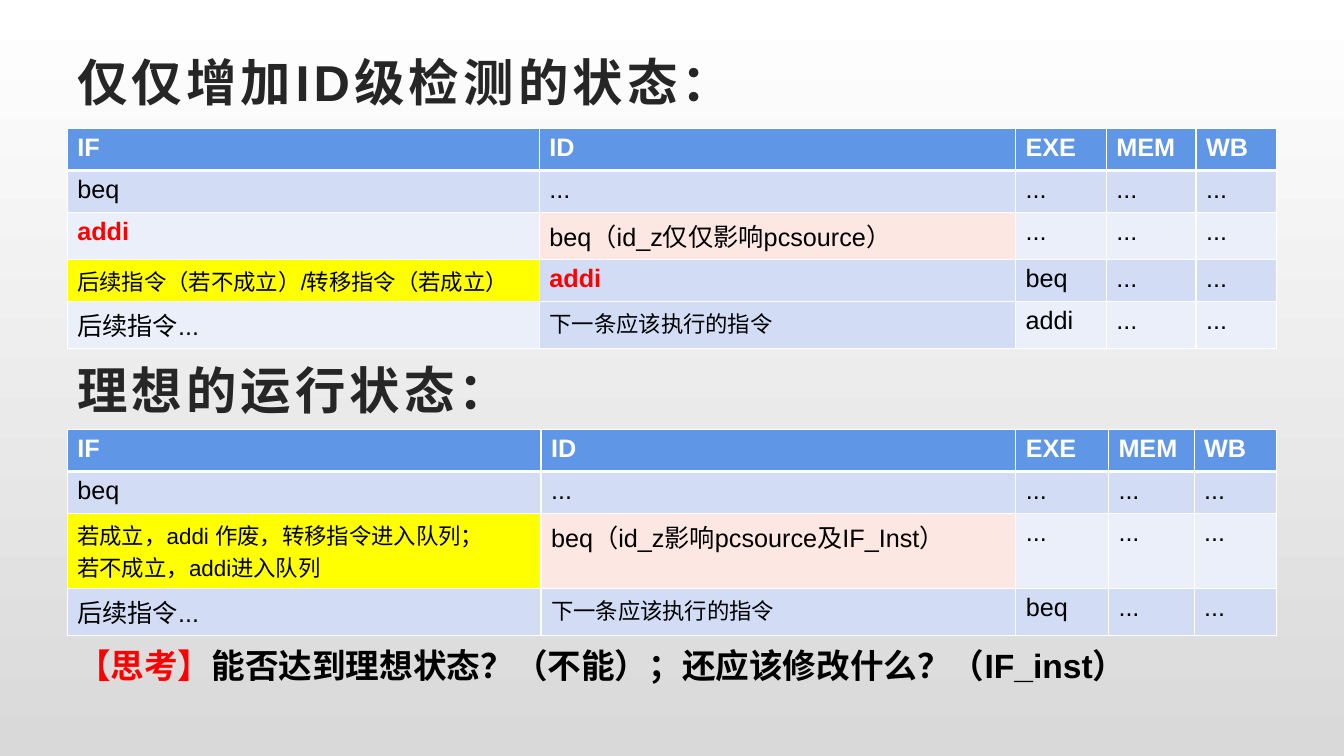
import dataclasses

import pptx
import pptx.dml.color
import pptx.enum.text
import pptx.oxml
import pptx.oxml.ns
import pptx.util

SLIDE_WIDTH = pptx.util.Inches(13.33)
SLIDE_HEIGHT = pptx.util.Inches(7.5)
GRID_COLUMNS, GRID_ROWS = 80, 90
MARGIN, CONTENT_COLUMNS = 4, 72
HEADING_ROWS = 9.24
LATIN_ROW, CHINESE_ROW, TWO_LINE_ROW = 5.0, 5.58, 8.93


@dataclasses.dataclass(frozen=True)
class Theme:
    font: str = "Arial"
    heading: str = "262626"
    ink: str = "000000"
    alert: str = "FF0000"
    white: str = "FFFFFF"
    backdrop_end: str = "D9D9D9"
    header: str = "6096E6"
    dark_band: str = "D2DDF5"
    light_band: str = "EAEFFA"
    yellow: str = "FFFF00"
    pink: str = "FCE7E2"
    heading_size: int = 36
    question_size: int = 24
    cell_size: int = 18
    small_size: int = 16


THEME = Theme()

HEADER = ["IF", "ID", "EXE", "MEM", "WB"]
FIRST_ROW = ["beq", "...", "...", "...", "..."]
NEXT_INSTRUCTION = "下一条应该执行的指令"
ADDI = {"color": THEME.alert, "bold": True}
BRANCH = {"fill": THEME.pink}
CHOICE = {"fill": THEME.yellow, "size": THEME.small_size}
NEXT = {"fill": THEME.dark_band, "size": THEME.small_size}

ID_CHECK_ROWS = [
    (LATIN_ROW, HEADER),
    (LATIN_ROW, FIRST_ROW),
    (CHINESE_ROW, ["addi", "beq（id_z仅仅影响pcsource）", "...", "...", "..."]),
    (LATIN_ROW, ["后续指令（若不成立）/转移指令（若成立）", "addi", "beq", "...", "..."]),
    (CHINESE_ROW, ["后续指令...", NEXT_INSTRUCTION, "addi", "...", "..."]),
]
ID_CHECK_STYLES = {(2, 0): ADDI, (2, 1): BRANCH, (3, 0): CHOICE, (3, 1): ADDI, (4, 1): NEXT}

IDEAL_ROWS = [
    (LATIN_ROW, HEADER),
    (LATIN_ROW, FIRST_ROW),
    (TWO_LINE_ROW, ["若成立，addi 作废，转移指令进入队列；\n若不成立，addi进入队列",
                    "beq（id_z影响pcsource及IF_Inst）", "...", "...", "..."]),
    (CHINESE_ROW, ["后续指令...", NEXT_INSTRUCTION, "beq", "...", "..."]),
]
IDEAL_STYLES = {(2, 0): CHOICE, (2, 1): BRANCH, (3, 1): NEXT}


def across(columns):
    return round(SLIDE_WIDTH * columns / GRID_COLUMNS)


def down(rows):
    return round(SLIDE_HEIGHT * rows / GRID_ROWS)


def rgb(color):
    return pptx.dml.color.RGBColor.from_string(color)


def set_font(font, size, color, bold):
    font.name = THEME.font
    font.size = pptx.util.Pt(size)
    font.color.rgb = rgb(color)
    font.bold = bold


def paint_background(slide):
    fill = slide.background.fill
    fill.gradient()
    fill.gradient_angle = 270
    for stop, color in zip(fill.gradient_stops, (THEME.white, THEME.backdrop_end)):
        stop.color.rgb = rgb(color)


def add_text_box(slide, top, columns, rows):
    box = slide.shapes.add_textbox(across(MARGIN), down(top), across(columns), down(rows))
    box.text_frame.word_wrap = True
    return box.text_frame


def add_heading(slide, top, text):
    frame = add_text_box(slide, top, CONTENT_COLUMNS, HEADING_ROWS)
    frame.vertical_anchor = pptx.enum.text.MSO_ANCHOR.MIDDLE
    para = frame.paragraphs[0]
    set_font(para.font, THEME.heading_size, THEME.heading, True)
    span = para.add_run()
    span.text = text
    span.font._element.set("spc", "300")


def add_question(slide, top, label, text):
    frame = add_text_box(slide, top, 67, 6)
    frame.auto_size = pptx.enum.text.MSO_AUTO_SIZE.SHAPE_TO_FIT_TEXT
    para = frame.paragraphs[0]
    set_font(para.font, THEME.question_size, THEME.ink, True)
    for words, color in ((label, THEME.alert), (text, THEME.ink)):
        span = para.add_run()
        span.text = words
        span.font.color.rgb = rgb(color)


def add_borders(cell, bottom_width):
    """Draw white sides; they must precede the fill in the cell's XML."""
    properties = cell._tc.get_or_add_tcPr()
    for side, width in (("L", 1), ("R", 1), ("T", 1), ("B", bottom_width)):
        properties.append(pptx.oxml.parse_xml(
            f'<a:ln{side} {pptx.oxml.ns.nsdecls("a")} w="{pptx.util.Pt(width)}">'
            f'<a:solidFill><a:srgbClr val="{THEME.white}"/></a:solidFill></a:ln{side}>'))


def cell_style(row, overrides):
    if row == 0:
        style = {"fill": THEME.header, "color": THEME.white, "bold": True}
    else:
        band = THEME.dark_band if row % 2 else THEME.light_band
        style = {"fill": band, "color": THEME.ink, "bold": False}
    return {"size": THEME.cell_size, **style, **overrides}


def add_pipeline_table(slide, top, widths, rows, styles):
    """Build a stage table; widths are proportions, rows pair a height with texts."""
    table = slide.shapes.add_table(
        len(rows), len(widths), across(MARGIN), down(top),
        across(CONTENT_COLUMNS), down(sum(height for height, _ in rows))).table
    for column, width in zip(table.columns, widths):
        column.width = across(CONTENT_COLUMNS * width / sum(widths))
    for row, (height, texts) in enumerate(rows):
        table.rows[row].height = down(height)
        for column, text in enumerate(texts):
            cell = table.cell(row, column)
            style = cell_style(row, styles.get((row, column), {}))
            add_borders(cell, 3 if row == 0 else 1)
            cell.fill.solid()
            cell.fill.fore_color.rgb = rgb(style["fill"])
            cell.text_frame.text = text
            for para in cell.text_frame.paragraphs:
                set_font(para.font, style["size"], style["color"], style["bold"])


def main():
    deck = pptx.Presentation()
    deck.slide_width, deck.slide_height = SLIDE_WIDTH, SLIDE_HEIGHT
    page = deck.slides.add_slide(deck.slide_layouts[6])
    paint_background(page)
    add_heading(page, 5.04, "仅仅增加ID级检测的状态：")
    add_pipeline_table(page, 15.3, (4.68, 4.72, 0.9, 0.89, 0.8),
                       ID_CHECK_ROWS, ID_CHECK_STYLES)
    add_heading(page, 41.76, "理想的运行状态：")
    add_pipeline_table(page, 51.12, (4.7, 4.71, 0.92, 0.85, 0.82),
                       IDEAL_ROWS, IDEAL_STYLES)
    add_question(page, 76.2, "【思考】",
                 "能否达到理想状态？（不能）；还应该修改什么？（IF_inst）")
    deck.save("out.pptx")


if __name__ == "__main__":
    main()
